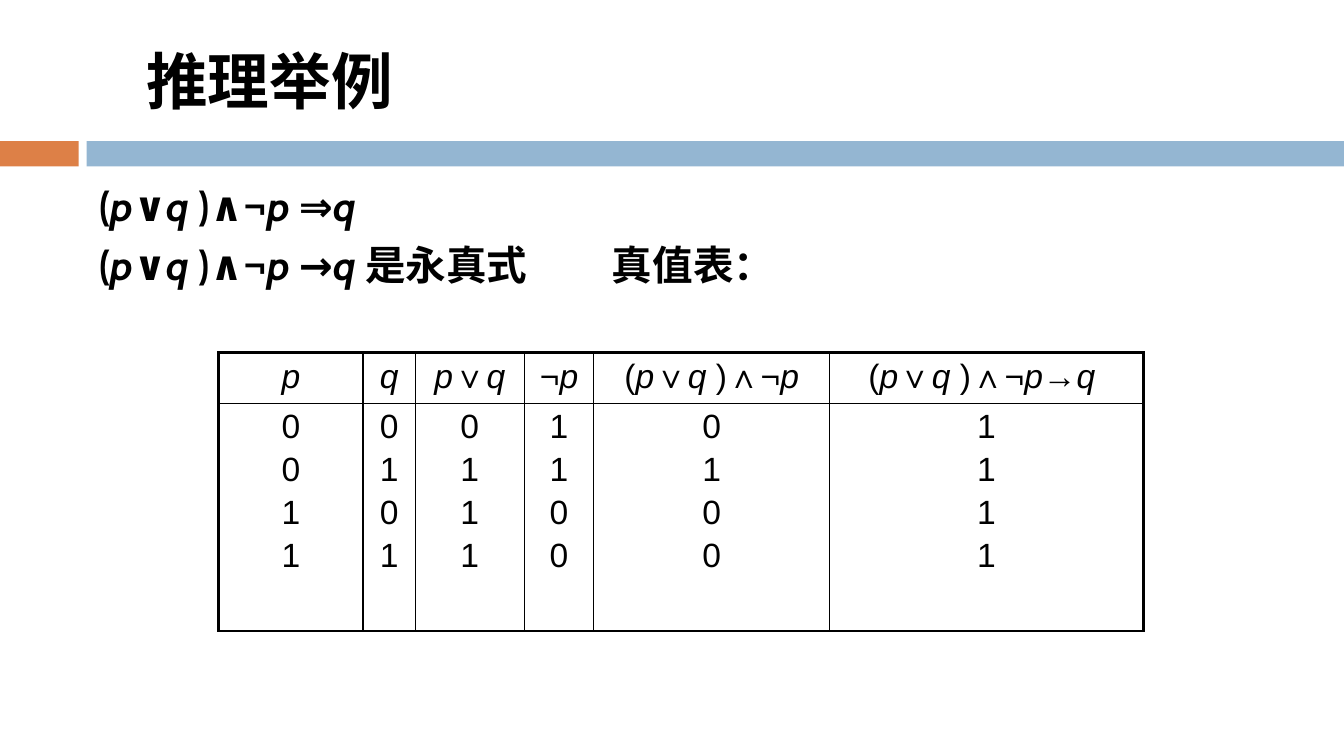
from itertools import groupby

from lxml.etree import SubElement
from pptx import Presentation
from pptx.dml.color import RGBColor
from pptx.enum.shapes import MSO_SHAPE
from pptx.enum.text import MSO_ANCHOR, PP_ALIGN
from pptx.oxml.ns import qn
from pptx.util import Emu, Pt

EMU_PER_PX = 9144
BLACK = "000000"
COLUMN_WIDTHS = [143, 52, 108, 69, 234, 311]
ROW_HEIGHTS = [49, 226]
HEADINGS = ["p", "q", "p∨q", "¬p", "(p∨q )∧¬p", "(p∨q )∧¬p→q "]
TRUTH_COLUMNS = ["0011", "0101", "0111", "1100", "0100", "1111"]


def px(length):
    return Emu(length * EMU_PER_PX)


def box(left, top, width, height):
    return [px(length) for length in (left, top, width, height)]


def color(value):
    return RGBColor.from_string(value)


def is_variable(character):
    return character in "pq "


def write_formula(paragraph, text, font_name, size, bold=False):
    for italic, characters in groupby(text, is_variable):
        run = paragraph.add_run()
        run.text = "".join(characters)
        font = run.font
        font.name = font_name
        font.size = Pt(size)
        font.bold = bold
        font.italic = italic
        font.color.rgb = color(BLACK)


def write_lines(text_frame, lines, space_before, alignment, font_name, size, bold=False):
    for index, line in enumerate(lines):
        paragraph = text_frame.add_paragraph() if index else text_frame.paragraphs[0]
        paragraph.alignment = alignment
        paragraph.space_before = Pt(space_before)
        write_formula(paragraph, line, font_name, size, bold)


def add_bar(slide, left, width, fill):
    bar = slide.shapes.add_shape(MSO_SHAPE.RECTANGLE, *box(left, 140, width, 25))
    bar.shadow.inherit = False
    bar.fill.solid()
    bar.fill.fore_color.rgb = color(fill)
    bar.line.fill.background()


def format_title(slide, text):
    title = slide.shapes.title
    title.left, title.top, title.width, title.height = box(135, 25, 1067, 108)
    title.text_frame.vertical_anchor = MSO_ANCHOR.MIDDLE
    write_lines(title.text_frame, [text], 0, PP_ALIGN.LEFT, "Cabin", 44, True)


def add_tab_stop(paragraph, position):
    tab_list = SubElement(paragraph._p.get_or_add_pPr(), qn("a:tabLst"))
    SubElement(tab_list, qn("a:tab"), pos=str(px(position)), algn="l")


def add_statements(slide, lines):
    text_box = slide.shapes.add_textbox(*box(89, 175, 1189, 492))
    text_frame = text_box.text_frame
    text_frame.word_wrap = True
    write_lines(text_frame, lines, 7, PP_ALIGN.LEFT, "Cabin", 29, True)
    add_tab_stop(text_frame.paragraphs[-1], 508)


def set_border(cell, side, width):
    line = SubElement(cell._tc.get_or_add_tcPr(), qn(f"a:ln{side}"), w=str(Pt(width)))
    fill = SubElement(line, qn("a:solidFill"))
    SubElement(fill, qn("a:srgbClr"), val=BLACK)


def format_cell(cell, lines, outer_sides):
    for side in "LRTB":
        set_border(cell, side, 2.25 if side in outer_sides else 1)
    cell.fill.background()
    write_lines(cell.text_frame, lines, 4, PP_ALIGN.CENTER, "Arial", 24)


def add_truth_table(slide):
    frame = slide.shapes.add_table(
        len(ROW_HEIGHTS), len(COLUMN_WIDTHS),
        *box(217, 350, sum(COLUMN_WIDTHS), sum(ROW_HEIGHTS)))
    table = frame.table
    table.first_row = False
    table.horz_banding = False
    for row, height in zip(table.rows, ROW_HEIGHTS):
        row.height = px(height)
    last = len(COLUMN_WIDTHS) - 1
    for index, width in enumerate(COLUMN_WIDTHS):
        table.columns[index].width = px(width)
        edge = {0: "L", last: "R"}.get(index, "")
        format_cell(table.cell(0, index), [HEADINGS[index]], edge + "T")
        format_cell(table.cell(1, index), TRUTH_COLUMNS[index], edge + "B")


def main():
    presentation = Presentation()
    presentation.slide_width = px(1333)
    presentation.slide_height = px(750)
    slide = presentation.slides.add_slide(presentation.slide_layouts[5])
    add_bar(slide, 0, 78, "DD8047")
    add_bar(slide, 86, 1247, "94B6D2")
    format_title(slide, "推理举例")
    add_statements(slide, ["(p∨q )∧¬p ⇒q", "(p∨q )∧¬p →q 是永真式\t真值表："])
    add_truth_table(slide)
    presentation.save("out.pptx")


if __name__ == "__main__":
    main()
